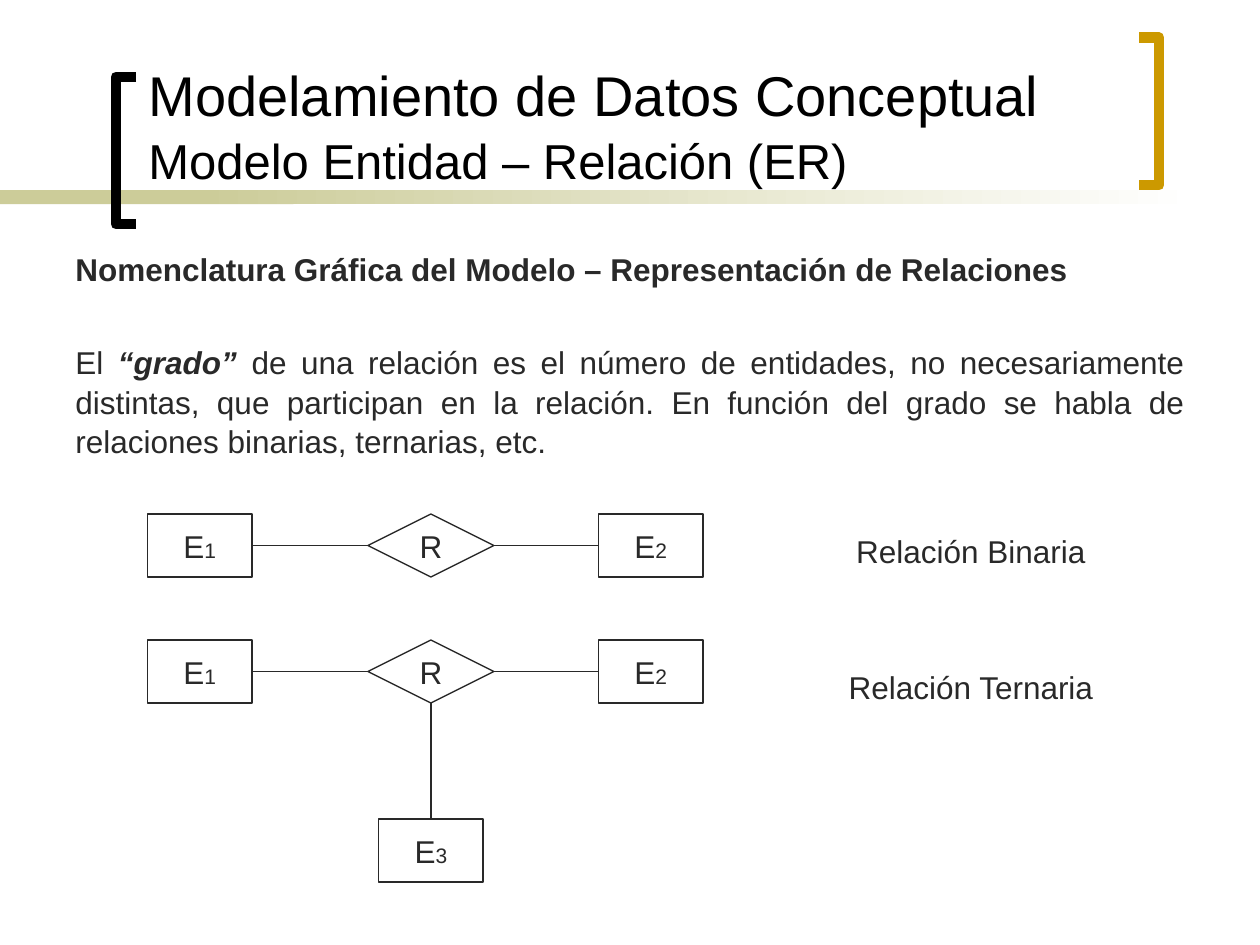
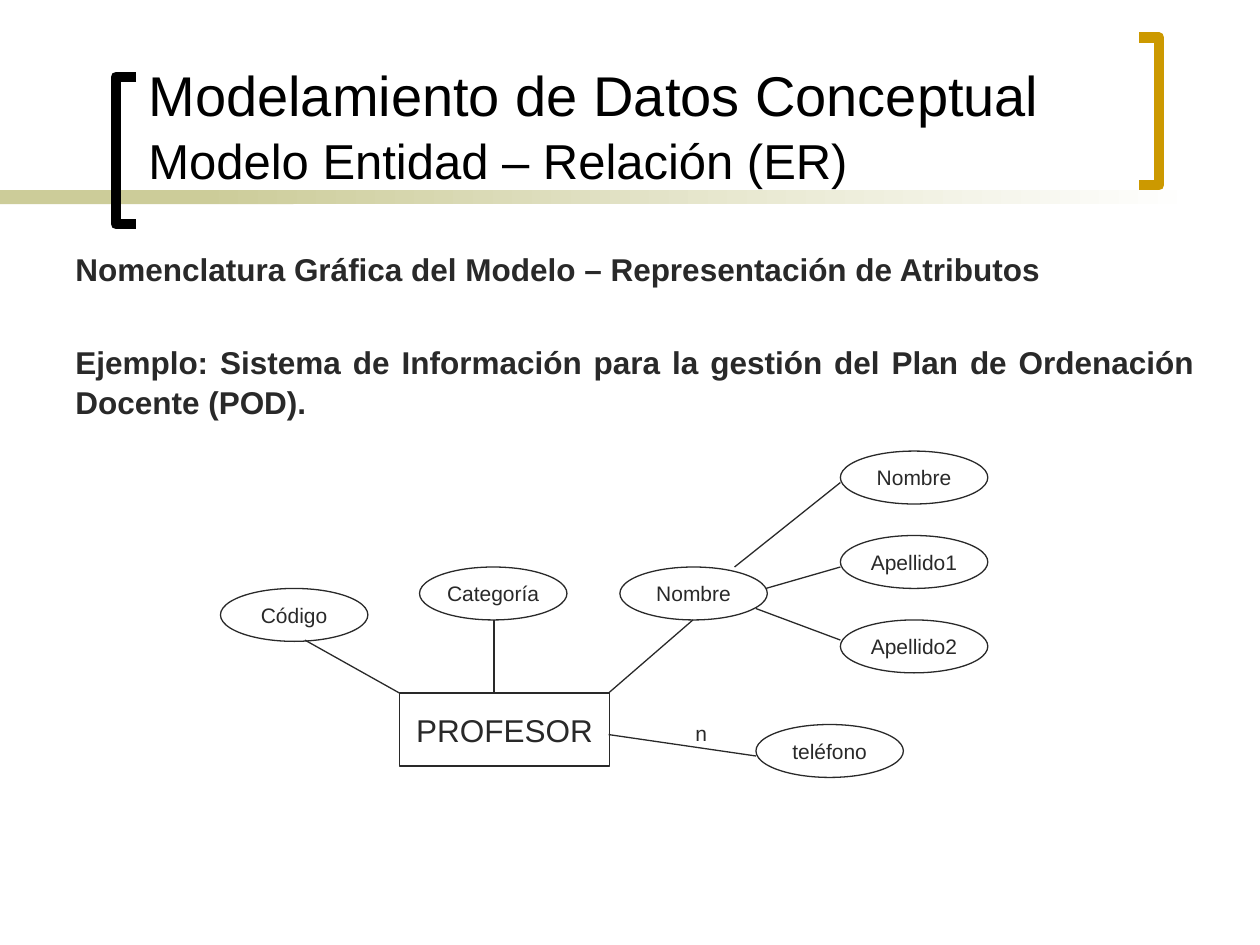
from lxml.etree import SubElement
from pptx import Presentation
from pptx.dml.color import RGBColor
from pptx.enum.shapes import MSO_CONNECTOR, MSO_SHAPE
from pptx.enum.text import MSO_ANCHOR, PP_ALIGN
from pptx.oxml.ns import qn
from pptx.util import Inches, Pt

BLACK = RGBColor(0x00, 0x00, 0x00)
INK = RGBColor(0x29, 0x29, 0x29)
SAND = RGBColor(0xCC, 0xCC, 0x99)
GOLD = RGBColor(0xCC, 0x99, 0x00)
WHITE = RGBColor(0xFF, 0xFF, 0xFF)
FONT = "Arial"
HAIRLINE = 0.74

# A paragraph is a list of runs: (text, size, style), style using "b" and "i".
TITLE = [[("Modelamiento de Datos Conceptual\v", 32, ""),
          ("Modelo Entidad – Relación (ER)", 28, "")]]
RELATIONS_BODY = [
    [("Nomenclatura Gráfica del Modelo – Representación de Relaciones", 18, "b")],
    [("El ", 18, ""), ("“grado” ", 18, "bi"),
     ("de una relación es el número de entidades, no necesariamente distintas, "
      "que participan en la relación. En función del grado se habla de "
      "relaciones binarias, ternarias, etc.", 18, "")],
]
ATTRIBUTES_BODY = [
    [("Nomenclatura Gráfica del Modelo – Representación de Atributos", 18, "b")],
    [("Ejemplo: Sistema de Información para la gestión del Plan de Ordenación "
      "Docente (POD).", 18, "b")],
]

# Relation diagrams: caption, caption top, diagram top, has a third entity
RELATIONS = [("Relación Binaria", 4.17, 4.08, False),
             ("Relación Ternaria", 5.25, 5.08, True)]
ENTITY_W, ENTITY_H = 0.83, 0.5
ENTITY_X = (1.17, 4.75)
DIAMOND_X, DIAMOND_W = 2.92, 1
THIRD_DROP = 1.42

# Attribute diagram: ellipses (name, left, top) and lines (x1, y1, x2, y2)
ATTRIBUTE_SIZE = (1.17, 0.42)
PERSON_PARTS = ("Nombre", "Apellido1", "Apellido2")
ATTRIBUTES = [("Código", 1.75, 4.67), ("Categoría", 3.33, 4.5),
              ("Nombre", 4.92, 4.5), ("teléfono", 6, 5.75)]
ATTRIBUTES += [(name, 6.67, 3.58 + 0.67 * i) for i, name in enumerate(PERSON_PARTS)]
ATTRIBUTE_LINES = [
    (2.42, 5.08, 3.17, 5.5), (3.92, 4.92, 3.92, 5.5), (5.5, 4.92, 4.83, 5.5),
    (6, 6, 4.83, 5.83), (5.83, 4.5, 6.67, 3.83), (6.08, 4.67, 6.67, 4.5),
    (6, 4.83, 6.67, 5.08),
]


def write(sp, paragraphs, *, color=INK, align=PP_ALIGN.LEFT, anchor=MSO_ANCHOR.TOP,
          wrap=True, spacing=None, before=0):
    """Write paragraphs of runs into a shape."""
    tf = sp.text_frame
    tf.word_wrap = wrap
    tf.vertical_anchor = anchor
    for i, runs in enumerate(paragraphs):
        p = tf.add_paragraph() if i else tf.paragraphs[0]
        p.alignment = align
        p.space_before = Pt(before if i else 0)
        if spacing:
            p.line_spacing = spacing
        for text, size, style in runs:
            r = p.add_run()
            r.text = text.rstrip("\v")
            r.font.name, r.font.size = FONT, Pt(size)
            r.font.bold, r.font.italic = "b" in style, "i" in style
            r.font.color.rgb = color
            if text.endswith("\v"):
                p.add_line_break()


def add_text(s, box, paragraphs, **fmt):
    """Add a text box at box (left, top, width, height)."""
    sp = s.shapes.add_textbox(*map(Inches, box))
    write(sp, paragraphs, **fmt)


def add_node(shapes, kind, box, runs):
    """Add an outlined shape with a centred label."""
    sp = shapes.add_shape(kind, *map(Inches, box))
    sp.shadow.inherit = False
    sp.fill.background()
    sp.line.color.rgb = INK
    sp.line.width = Pt(HAIRLINE)
    write(sp, [runs], align=PP_ALIGN.CENTER, anchor=MSO_ANCHOR.MIDDLE, wrap=False)


def add_line(shapes, x1, y1, x2, y2):
    """Add a thin straight line without shadow."""
    line = shapes.add_connector(MSO_CONNECTOR.STRAIGHT, *map(Inches, (x1, y1, x2, y2)))
    line.line.color.rgb = INK
    line.line.width = Pt(HAIRLINE)
    SubElement(line._element.spPr, qn("a:effectLst"))


def add_band(s, left, width, fade):
    """Add a part of the band under the title, plain or fading to white."""
    sp = s.shapes.add_shape(MSO_SHAPE.RECTANGLE, *map(Inches, (left, 1.51, width, 0.11)))
    sp.shadow.inherit = False
    sp.line.fill.background()
    if fade:
        sp.fill.gradient()
        sp.fill.gradient_angle = 0
        for stop, color in zip(sp.fill.gradient_stops, (SAND, WHITE)):
            stop.color.rgb = color
    else:
        sp.fill.solid()
        sp.fill.fore_color.rgb = SAND


def add_bracket(s, tip_x, spine_x, top, color):
    """Add a square bracket whose tips point from the spine to tip_x."""
    bottom = top + 1.17
    builder = s.shapes.build_freeform(Inches(tip_x), Inches(top))
    corners = [(spine_x, top), (spine_x, bottom), (tip_x, bottom)]
    builder.add_line_segments([(Inches(x), Inches(y)) for x, y in corners], close=False)
    sp = builder.convert_to_shape()
    sp.shadow.inherit = False
    sp.fill.background()
    sp.line.color.rgb = color
    sp.line.width = Pt(6)


def add_slide(prs, body, body_size):
    """Add a slide with the shared bands, brackets, title and body text."""
    s = prs.slides.add_slide(prs.slide_layouts[6])
    add_band(s, 0, 2.33, False)
    add_band(s, 1.58, 7.92, True)
    add_bracket(s, 1.08, 0.92, 0.61, BLACK)
    add_bracket(s, 9.04, 9.2, 0.30, GOLD)
    add_text(s, (1.08, 0, 8, 1.55), TITLE, color=BLACK, anchor=MSO_ANCHOR.BOTTOM,
             spacing=1.05)
    add_text(s, (0.5, 1.92, *body_size), body, align=PP_ALIGN.JUSTIFY,
             spacing=1.05, before=30.5)
    return s


def add_relation(s, top, ternary):
    """Add a grouped relation diagram with two or three entities."""
    shapes = s.shapes.add_group_shape().shapes
    entities = [(x, top) for x in ENTITY_X]
    center = DIAMOND_X + DIAMOND_W / 2
    middle = top + ENTITY_H / 2
    if ternary:
        entities.append((center - ENTITY_W / 2, top + THIRD_DROP))
    for number, (x, y) in enumerate(entities, 1):
        add_node(shapes, MSO_SHAPE.RECTANGLE, (x, y, ENTITY_W, ENTITY_H),
                 [("E", 18, ""), (str(number), 12, "")])
    add_node(shapes, MSO_SHAPE.FLOWCHART_DECISION,
             (DIAMOND_X, top, DIAMOND_W, ENTITY_H), [("R", 18, "")])
    add_line(shapes, ENTITY_X[0] + ENTITY_W, middle, DIAMOND_X, middle)
    add_line(shapes, DIAMOND_X + DIAMOND_W, middle, ENTITY_X[1], middle)
    if ternary:
        add_line(shapes, center, top + ENTITY_H, center, top + THIRD_DROP)


def build_relations(prs):
    """Build the slide on relations and their degree."""
    s = add_slide(prs, RELATIONS_BODY, (9, 1.83))
    for caption, caption_top, top, ternary in RELATIONS:
        add_relation(s, top, ternary)
        add_text(s, (6.58, caption_top, 2.25, 0.4), [[(caption, 18, "")]],
                 align=PP_ALIGN.CENTER)


def build_attributes(prs):
    """Build the slide on an entity and its attributes."""
    s = add_slide(prs, ATTRIBUTES_BODY, (9.08, 1.5))
    add_node(s.shapes, MSO_SHAPE.RECTANGLE, (3.17, 5.5, 1.67, 0.58),
             [("PROFESOR", 18, "")])
    for name, left, top in ATTRIBUTES:
        add_node(s.shapes, MSO_SHAPE.OVAL, (left, top, *ATTRIBUTE_SIZE), [(name, 12, "")])
    for ends in ATTRIBUTE_LINES:
        add_line(s.shapes, *ends)
    add_text(s, (5.42, 5.67, 0.42, 0.3), [[("n", 12, "")]])


prs = Presentation()
prs.slide_width, prs.slide_height = Inches(10), Inches(7.5)
build_relations(prs)
build_attributes(prs)
prs.save("out.pptx")
